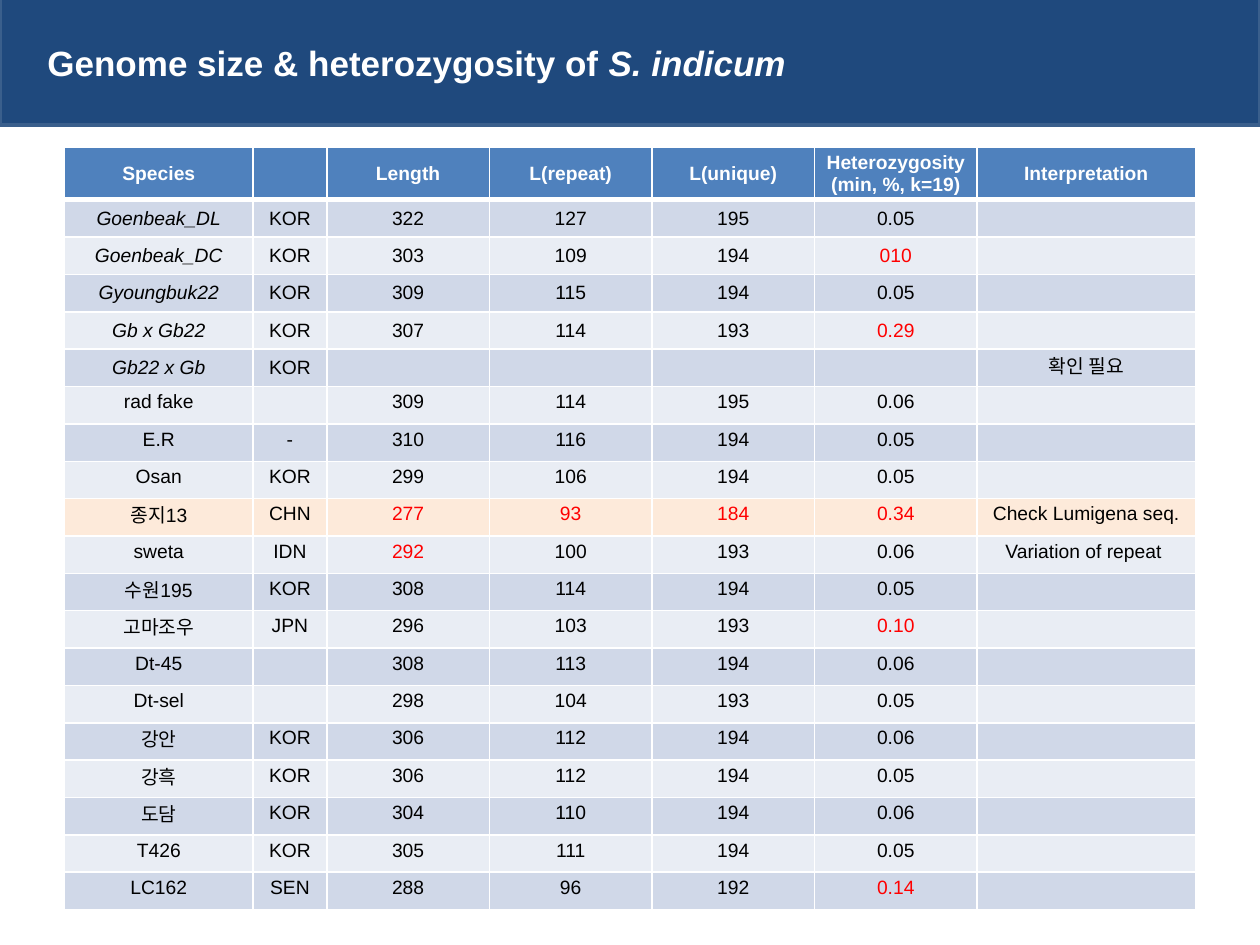
from lxml import etree
from pptx import Presentation
from pptx import util as u
from pptx.dml.color import RGBColor
from pptx.enum import shapes, text
from pptx.oxml.ns import qn

THEME = dict(
    font="Arial", title_size=20, cell_size=11,
    white="FFFFFF", black="000000", red="FF0000",
    banner="1F497D", banner_line="3A5F8C", header="4F81BD",
    bands=("D0D8E8", "E9EDF4"), highlight="FDEADA",
)

TITLE = [("Genome size & heterozygosity of ", False), ("S. indicum", True)]
HEADER = ("Species", "", "Length", "L(repeat)", "L(unique)",
          "Heterozygosity\n(min, %, k=19)", "Interpretation")
ROWS = [
    ("Goenbeak_DL", "KOR", "322", "127", "195", "0.05", ""),
    ("Goenbeak_DC", "KOR", "303", "109", "194", "010", ""),
    ("Gyoungbuk22", "KOR", "309", "115", "194", "0.05", ""),
    ("Gb x Gb22", "KOR", "307", "114", "193", "0.29", ""),
    ("Gb22 x Gb", "KOR", "", "", "", "", "확인 필요"),
    ("rad fake", "", "309", "114", "195", "0.06", ""),
    ("E.R", "-", "310", "116", "194", "0.05", ""),
    ("Osan", "KOR", "299", "106", "194", "0.05", ""),
    ("종지13", "CHN", "277", "93", "184", "0.34", "Check Lumigena seq."),
    ("sweta", "IDN", "292", "100", "193", "0.06", "Variation of repeat "),
    ("수원195", "KOR", "308", "114", "194", "0.05", ""),
    ("고마조우", "JPN", "296", "103", "193", "0.10", ""),
    ("Dt-45", "", "308", "113", "194", "0.06", ""),
    ("Dt-sel", "", "298", "104", "193", "0.05", ""),
    ("강안", "KOR", "306", "112", "194", "0.06", ""),
    ("강흑", "KOR", "306", "112", "194", "0.05", ""),
    ("도담", "KOR", "304", "110", "194", "0.06", ""),
    ("T426", "KOR", "305", "111", "194", "0.05", ""),
    ("LC162", "SEN", "288", "96", "192", "0.14", ""),
]
# Columns set in red, by species
RED = {"Goenbeak_DC": [5], "Gb x Gb22": [5], "종지13": [2, 3, 4, 5],
       "sweta": [2], "고마조우": [5], "LC162": [5]}
HIGHLIGHTED = "종지13"
CROSS_ROWS = 5  # the first rows: italic species, tight cell margins

COL_WIDTHS = (107.7, 42.2, 92.9, 92.9, 92.9, 92.9, 124.8)
HEADER_HEIGHT, ROW_HEIGHT = 29.8, 21.35
TABLE_LEFT, TABLE_TOP = 36.9, 84.4
TIGHT, WIDE = (0.72, 0, 0.72, 0), (7.2, 0, 7.2, 3.6)


def rgb(name):
    return RGBColor.from_string(THEME.get(name, name))


def add_run(p, words, size, color, bold=False, italic=False):
    r = p.add_run()
    r.text = words
    f = r.font
    f.name, f.size, f.bold, f.italic = THEME["font"], u.Pt(size), bold, italic
    f.color.rgb = rgb(color)


def set_borders(cell, top, bottom):
    """Draw white cell borders; top and bottom widths are in points."""
    tcPr = cell._tc.get_or_add_tcPr()
    for side, width in (("L", 1), ("R", 1), ("T", top), ("B", bottom)):
        ln = etree.SubElement(tcPr, qn(f"a:ln{side}"), w=str(u.Pt(width)))
        fill = etree.SubElement(ln, qn("a:solidFill"))
        etree.SubElement(fill, qn("a:srgbClr"), val=THEME["white"])


def fill_cell(cell, words, fill, margins, **style):
    cell.fill.solid()
    cell.fill.fore_color.rgb = rgb(fill)
    cell.vertical_anchor = text.MSO_ANCHOR.MIDDLE
    (cell.margin_left, cell.margin_top,
     cell.margin_right, cell.margin_bottom) = map(u.Pt, margins)
    tf = cell.text_frame
    for i, line in enumerate(words.split("\n")):
        p = tf.add_paragraph() if i else tf.paragraphs[0]
        p.alignment = text.PP_ALIGN.CENTER
        if line:
            add_run(p, line, THEME["cell_size"], **style)
        else:  # keeps an empty cell from stretching its row
            etree.SubElement(p._p, qn("a:endParaRPr"),
                             sz=str(THEME["cell_size"] * 100))


def add_banner(s):
    sp = s.shapes.add_shape(shapes.MSO_SHAPE.RECTANGLE,
                            u.Pt(0), u.Pt(-2), u.Pt(720), u.Pt(73.5))
    sp.shadow.inherit = False
    sp.fill.solid()
    sp.fill.fore_color.rgb = rgb("banner")
    sp.line.color.rgb = rgb("banner_line")
    sp.line.width = u.Pt(2)

    tf = s.shapes.add_textbox(u.Pt(20), u.Pt(11), u.Pt(584), u.Pt(50)).text_frame
    tf.word_wrap = True
    tf.vertical_anchor = text.MSO_ANCHOR.MIDDLE
    for words, italic in TITLE:
        add_run(tf.paragraphs[0], words, THEME["title_size"], "white", True, italic)


def add_genome_table(s):
    heights = [HEADER_HEIGHT] + [ROW_HEIGHT] * len(ROWS)
    table = s.shapes.add_table(
        len(heights), len(COL_WIDTHS), u.Pt(TABLE_LEFT), u.Pt(TABLE_TOP),
        u.Pt(sum(COL_WIDTHS)), u.Pt(sum(heights))).table
    for column, width in zip(table.columns, COL_WIDTHS):
        column.width = u.Pt(width)
    for row, height in zip(table.rows, heights):
        row.height = u.Pt(height)

    for c, words in enumerate(HEADER):
        cell = table.cell(0, c)
        set_borders(cell, 1, 3)
        fill_cell(cell, words, "header", TIGHT, color="white", bold=True)

    for i, values in enumerate(ROWS):
        species = values[0]
        crossed = i < CROSS_ROWS
        fill = "highlight" if species == HIGHLIGHTED else THEME["bands"][i % 2]
        for c, words in enumerate(values):
            cell = table.cell(i + 1, c)
            set_borders(cell, 1 if i else 3, 1)
            fill_cell(cell, words, fill, TIGHT if crossed and c < 6 else WIDE,
                      color="red" if c in RED.get(species, []) else "black",
                      italic=crossed and c == 0)


def main():
    prs = Presentation()
    prs.slide_width, prs.slide_height = u.Pt(720), u.Pt(540)
    s = prs.slides.add_slide(prs.slide_layouts[6])
    add_banner(s)
    add_genome_table(s)
    prs.save("out.pptx")


if __name__ == "__main__":
    main()
